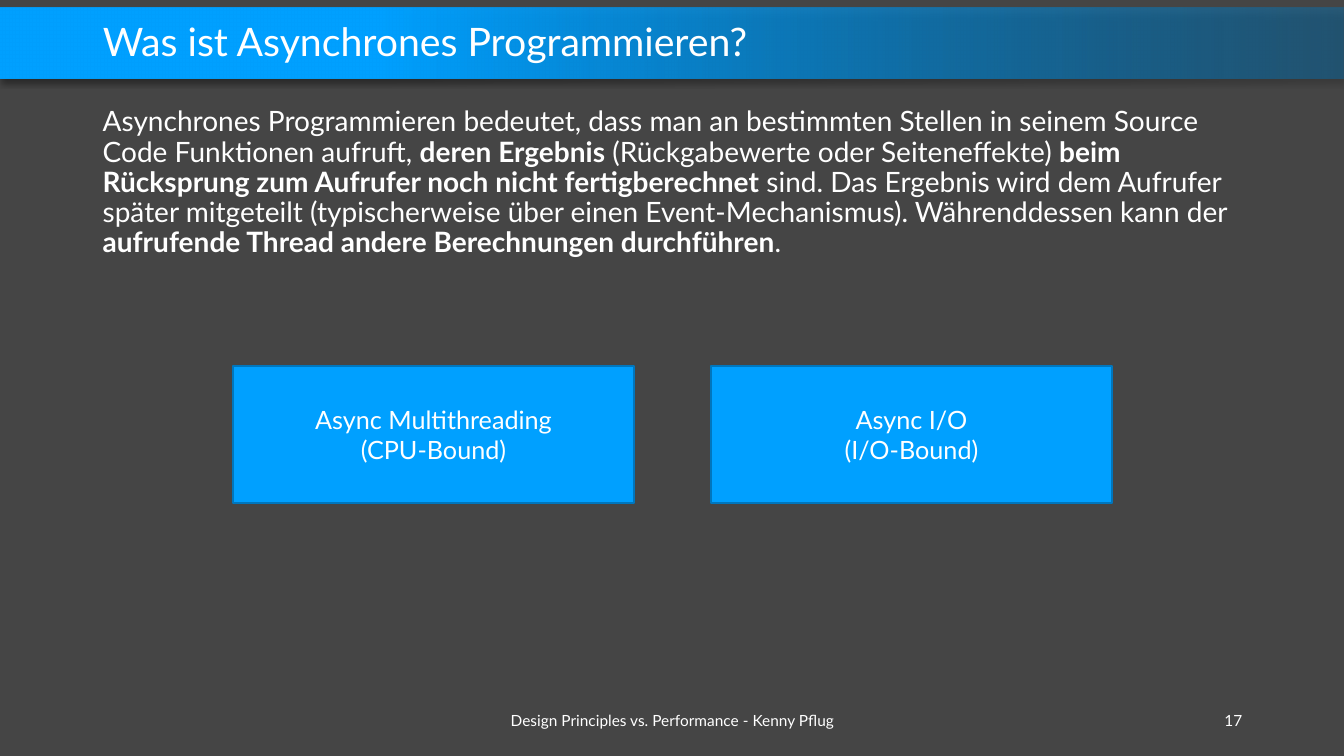
import dataclasses

import lxml.etree
import pptx
import pptx.dml.color
import pptx.enum.shapes
import pptx.enum.text
import pptx.oxml.ns
import pptx.util

Inches = pptx.util.Inches
Pt = pptx.util.Pt
RGBColor = pptx.dml.color.RGBColor
Align = pptx.enum.text.PP_ALIGN
Anchor = pptx.enum.text.MSO_ANCHOR
Kind = pptx.enum.shapes.MSO_SHAPE
qn = pptx.oxml.ns.qn

FONT = "Lato"
GREY = RGBColor(0x45, 0x45, 0x45)
WHITE = RGBColor(0xFF, 0xFF, 0xFF)
BLUE = RGBColor(0x00, 0xA0, 0xFF)
DEEP = RGBColor(0x00, 0x78, 0xBF)
EDGE = RGBColor(0x00, 0x76, 0xBD)


@dataclasses.dataclass
class Run:
    text: str
    bold: bool = False


@dataclasses.dataclass
class Label:
    left: float
    top: float
    width: float
    height: float
    runs: list[Run]
    size: float
    align: Align = Align.LEFT
    anchor: Anchor = Anchor.MIDDLE
    space: float = 1.0
    before: float = 0


@dataclasses.dataclass
class Box:
    left: float
    lines: list[str]


TITLE = Label(0.92, 0.16, 11.5, 0.55, [Run("Was ist Asynchrones Programmieren?")],
              28, space=0.9)
LABELS = [
    Label(0.92, 1.02, 11.5, 5.83, [
        Run("Asynchrones Programmieren bedeutet, dass man an bestimmten Stellen "
            "in seinem Source Code Funktionen aufruft, "),
        Run("deren Ergebnis", True),
        Run(" (Rückgabewerte oder Seiteneffekte) "),
        Run("beim Rücksprung zum Aufrufer noch nicht fertigberechnet", True),
        Run(" sind. Das Ergebnis wird dem Aufrufer später mitgeteilt (typischerweise "
            "über einen Event-Mechanismus). Währenddessen kann der "),
        Run("aufrufende Thread andere Berechnungen durchführen", True),
        Run("."),
    ], 20, anchor=Anchor.TOP, space=0.9, before=10),
    Label(4.42, 6.95, 4.5, 0.4, [Run("Design Principles vs. Performance - Kenny Pflug")],
          11, Align.CENTER),
    Label(9.42, 6.95, 3, 0.4, [Run("17")], 11, Align.RIGHT),
]
BOXES = [
    Box(2.31, ["Async Multithreading", "(CPU-Bound)"]),
    Box(7.05, ["Async I/O", "(I/O-Bound)"]),
]


def style(para, size: float, align: Align) -> None:
    para.alignment = align
    para.font.name = FONT
    para.font.size = Pt(size)
    para.font.color.rgb = WHITE


def write(shape, label: Label) -> None:
    shape.left, shape.top = Inches(label.left), Inches(label.top)
    shape.width, shape.height = Inches(label.width), Inches(label.height)
    frame = shape.text_frame
    frame.word_wrap = True
    frame.auto_size = pptx.enum.text.MSO_AUTO_SIZE.NONE
    frame.vertical_anchor = label.anchor
    para = frame.paragraphs[0]
    style(para, label.size, label.align)
    para.line_spacing = label.space
    para.space_before = Pt(label.before)
    for part in label.runs:
        run = para.add_run()
        run.text = part.text
        if part.bold:
            run.font.bold = True


def add_rect(slide, left: float, top: float, width: float, height: float):
    rect = slide.shapes.add_shape(Kind.RECTANGLE, Inches(left), Inches(top),
                                  Inches(width), Inches(height))
    rect.shadow.inherit = False
    return rect


def add_alpha(color, share: int) -> None:
    lxml.etree.SubElement(color, qn("a:alpha"), val=str(share * 1000))


def add_band(slide):
    band = add_rect(slide, 0, 0.08, 13.33, 0.7)
    band.line.fill.background()
    # Gradient from a sheer right end to solid blue
    band.fill.gradient()
    band.fill.gradient_angle = 180
    first, last = band.fill.gradient_stops
    first.position, first.color.rgb = 0, DEEP
    last.position, last.color.rgb = 0.72, BLUE
    add_alpha(band.element.spPr.find(".//" + qn("a:srgbClr")), 40)
    # Soft shadow below
    effect = band.element.spPr.find(qn("a:effectLst"))
    shade = lxml.etree.SubElement(effect, qn("a:outerShdw"), blurRad=str(Pt(4)),
                                  dist=str(Pt(3)), dir="5400000", algn="t",
                                  rotWithShape="0")
    add_alpha(lxml.etree.SubElement(shade, qn("a:srgbClr"), val="000000"), 40)
    return band


def add_box(slide, box: Box) -> None:
    rect = add_rect(slide, box.left, 3.63, 3.98, 1.36)
    rect.fill.solid()
    rect.fill.fore_color.rgb = BLUE
    rect.line.color.rgb = EDGE
    rect.line.width = Pt(1)
    rect.text_frame.vertical_anchor = Anchor.MIDDLE
    para = rect.text_frame.paragraphs[0]
    style(para, 18, Align.CENTER)
    for index, line in enumerate(box.lines):
        if index:
            para.add_line_break()
        para.add_run().text = line


def main() -> None:
    deck = pptx.Presentation()
    deck.slide_width, deck.slide_height = Inches(13.33), Inches(7.5)
    slide = deck.slides.add_slide(deck.slide_layouts.get_by_name("Title Only"))
    slide.background.fill.solid()
    slide.background.fill.fore_color.rgb = GREY

    # Title on its band
    title = slide.shapes.title
    write(title, TITLE)
    title.element.addprevious(add_band(slide).element)

    # Body text and footer
    for label in LABELS:
        write(slide.shapes.add_textbox(0, 0, 0, 0), label)

    # The two kinds of async work
    for box in BOXES:
        add_box(slide, box)

    deck.save("out.pptx")


if __name__ == "__main__":
    main()
